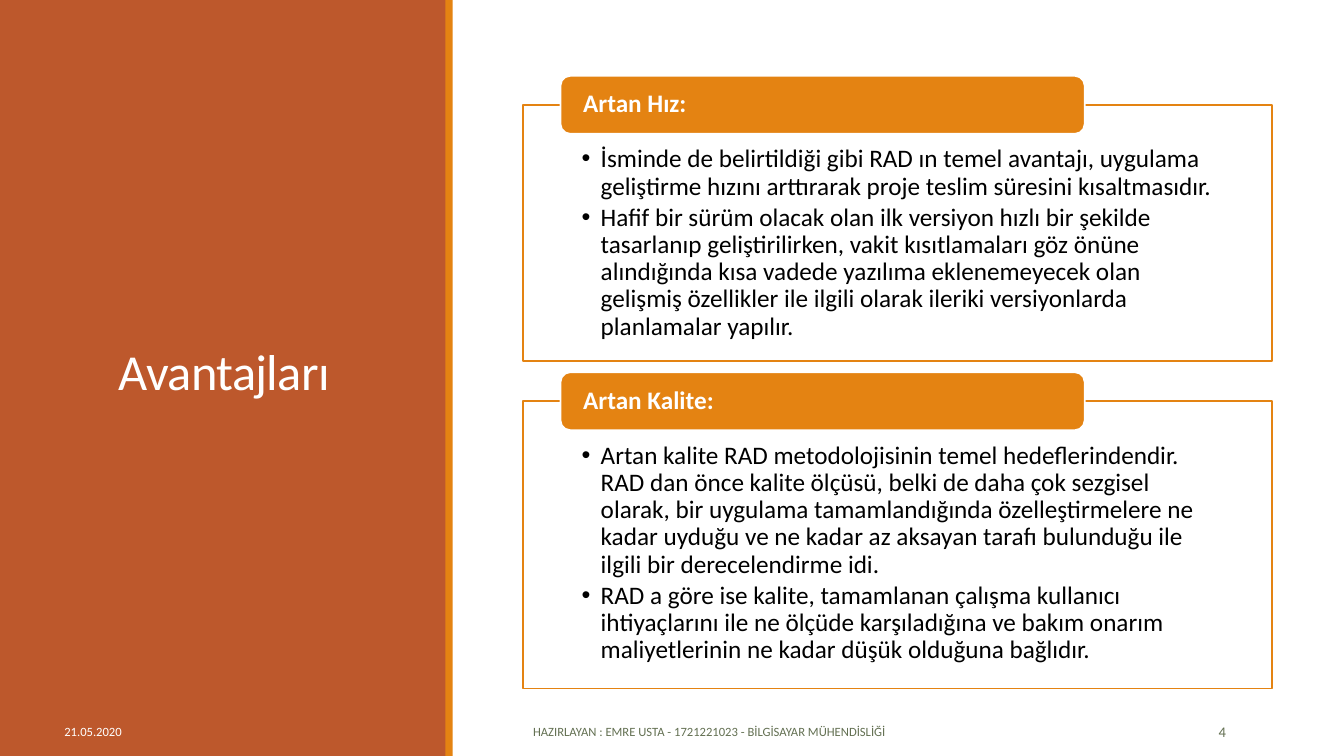
from lxml import etree
from pptx import Presentation
from pptx.dml import color
from pptx.enum import shapes, text
from pptx.oxml import ns
from pptx.util import Pt

# Content
TITLE = "Avantajları"
PANELS = [
    {
        "heading": "Artan Hız:",
        "top": 74.88,
        "height": 182.88,
        "bullets": [
            "İsminde de belirtildiği gibi RAD ın temel avantajı, uygulama geliştirme "
            "hızını arttırarak proje teslim süresini kısaltmasıdır.",
            "Hafif bir sürüm olacak olan ilk versiyon hızlı bir şekilde tasarlanıp "
            "geliştirilirken, vakit kısıtlamaları göz önüne alındığında kısa vadede "
            "yazılıma eklenemeyecek olan gelişmiş özellikler ile ilgili olarak ileriki "
            "versiyonlarda planlamalar yapılır.",
        ],
    },
    {
        "heading": "Artan Kalite:",
        "top": 286.56,
        "height": 205.2,
        "bullets": [
            "Artan kalite RAD metodolojisinin temel hedeflerindendir. RAD dan önce kalite "
            "ölçüsü, belki de daha çok sezgisel olarak, bir uygulama tamamlandığında "
            "özelleştirmelere ne kadar uyduğu ve ne kadar az aksayan tarafı bulunduğu ile "
            "ilgili bir derecelendirme idi.",
            "RAD a göre ise kalite, tamamlanan çalışma kullanıcı ihtiyaçlarını ile ne "
            "ölçüde karşıladığına ve bakım onarım maliyetlerinin ne kadar düşük olduğuna "
            "bağlıdır.",
        ],
    },
]
# Footer entries: text, left, width, size, colour, alignment
FOOTER = [
    ("21.05.2020", 38.88, 136.8, "small", "white", "LEFT"),
    ("HAZIRLAYAN : EMRE USTA - 1721221023 - BİLGİSAYAR MÜHENDİSLİĞİ",
     373.68, 401.76, "small", "olive", "LEFT"),
    ("4", 797.04, 85.68, "number", "olive", "RIGHT"),
]

THEME = {
    "font": "Calibri",
    "colors": {"rust": "BD582C", "orange": "E48312", "white": "FFFFFF",
               "olive": "637052", "black": "000000"},
    "sizes": {"title": 36, "body": 18, "number": 10.5, "small": 9},
}

# Layout, in points
SLIDE_WIDTH, SLIDE_HEIGHT = 960, 540
SIDEBAR_WIDTH, STRIPE_LEFT, STRIPE_WIDTH = 318.96, 318.24, 5.04
PANEL_LEFT, PANEL_WIDTH = 373.68, 534.96
TAB_LEFT, TAB_WIDTH, TAB_HEIGHT = 400.4, 374.4, 41.4
FOOTER_TOP, FOOTER_HEIGHT = 508.32, 28.8
BULLET_INDENT = 13.68


def rgb(name):
    return color.RGBColor.from_string(THEME["colors"][name])


def add_box(slide, kind, box, fill, line=None):
    shape = slide.shapes.add_shape(kind, *map(Pt, box))
    shape.shadow.inherit = False
    shape.fill.solid()
    shape.fill.fore_color.rgb = rgb(fill)
    if line:
        shape.line.color.rgb = rgb(line)
        shape.line.width = Pt(1.25)
    else:
        shape.line.fill.background()
    return shape


def write(shape, lines, size, ink, anchor="MIDDLE", align="LEFT", margins=(7.2, 3.6, 7.2, 3.6),
          bold=False, **paragraph_format):
    frame = shape.text_frame
    left, top, right, bottom = map(Pt, margins)
    frame_format = {
        "word_wrap": True, "vertical_anchor": getattr(text.MSO_ANCHOR, anchor),
        "margin_left": left, "margin_top": top, "margin_right": right, "margin_bottom": bottom,
    }
    for name, value in frame_format.items():
        setattr(frame, name, value)
    font_format = {"name": THEME["font"], "size": Pt(THEME["sizes"][size]), "bold": bold}
    paragraph_format["alignment"] = getattr(text.PP_ALIGN, align)
    for index, line in enumerate(lines):
        paragraph = frame.add_paragraph() if index else frame.paragraphs[0]
        for name, value in paragraph_format.items():
            setattr(paragraph, name, value)
        run = paragraph.add_run()
        run.text = line
        for name, value in font_format.items():
            setattr(run.font, name, value)
        run.font.color.rgb = rgb(ink)
    return frame.paragraphs


def add_bullet(paragraph):
    properties = paragraph._p.get_or_add_pPr()
    properties.set("marL", str(Pt(BULLET_INDENT)))
    properties.set("indent", str(-Pt(BULLET_INDENT)))
    etree.SubElement(properties, ns.qn("a:buFont")).set("typeface", "Arial")
    etree.SubElement(properties, ns.qn("a:buChar")).set("char", "•")


def add_panel(slide, panel):
    # Outlined body with bullets
    body = add_box(slide, shapes.MSO_SHAPE.RECTANGLE,
                   (PANEL_LEFT, panel["top"], PANEL_WIDTH, panel["height"]), "white", "orange")
    for paragraph in write(body, panel["bullets"], "body", "black", anchor="TOP",
                           margins=(41.76, 29.52, 41.76, 10.08),
                           line_spacing=0.9, space_after=Pt(2.7)):
        add_bullet(paragraph)
    # Heading tab centred on the top edge
    tab = add_box(slide, shapes.MSO_SHAPE.ROUNDED_RECTANGLE,
                  (TAB_LEFT, panel["top"] - TAB_HEIGHT / 2, TAB_WIDTH, TAB_HEIGHT),
                  "orange", "white")
    write(tab, [panel["heading"]], "body", "white", margins=(14.15, 0, 14.15, 0),
          bold=True, line_spacing=0.9)


def main():
    presentation = Presentation()
    presentation.slide_width, presentation.slide_height = Pt(SLIDE_WIDTH), Pt(SLIDE_HEIGHT)
    slide = presentation.slides.add_slide(presentation.slide_layouts[6])

    # Sidebar with title
    rectangle = shapes.MSO_SHAPE.RECTANGLE
    add_box(slide, rectangle, (0, 0, SIDEBAR_WIDTH, SLIDE_HEIGHT), "rust")
    add_box(slide, rectangle, (STRIPE_LEFT, 0, STRIPE_WIDTH, SLIDE_HEIGHT), "orange")
    title = slide.shapes.add_textbox(*map(Pt, (38.88, 41.04, 242.64, 454.32)))
    paragraph = write(title, [TITLE], "title", "white", align="CENTER", line_spacing=0.85)[0]
    paragraph.runs[0].font._element.set("spc", "-50")

    # Panels
    for panel in PANELS:
        add_panel(slide, panel)

    # Footer
    for line, left, width, size, ink, align in FOOTER:
        box = slide.shapes.add_textbox(*map(Pt, (left, FOOTER_TOP, width, FOOTER_HEIGHT)))
        write(box, [line], size, ink, align=align)

    presentation.save("out.pptx")


if __name__ == "__main__":
    main()
